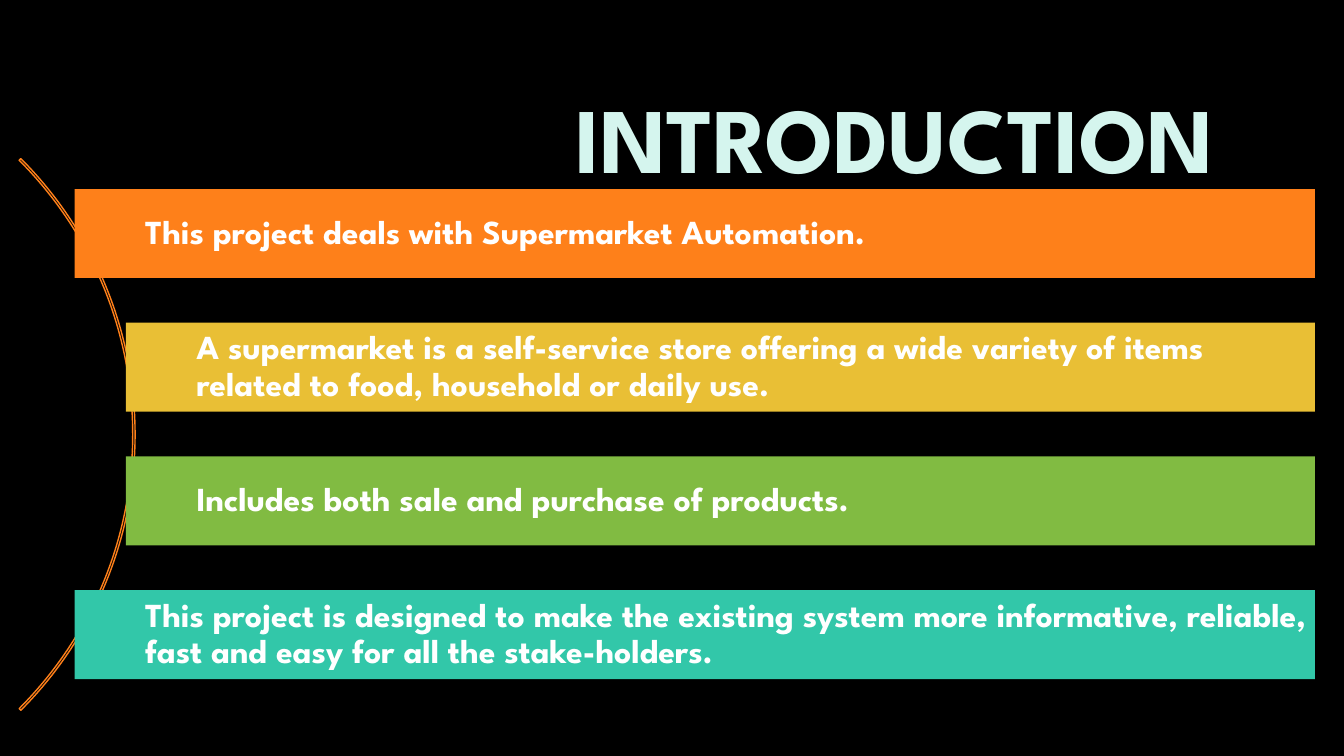
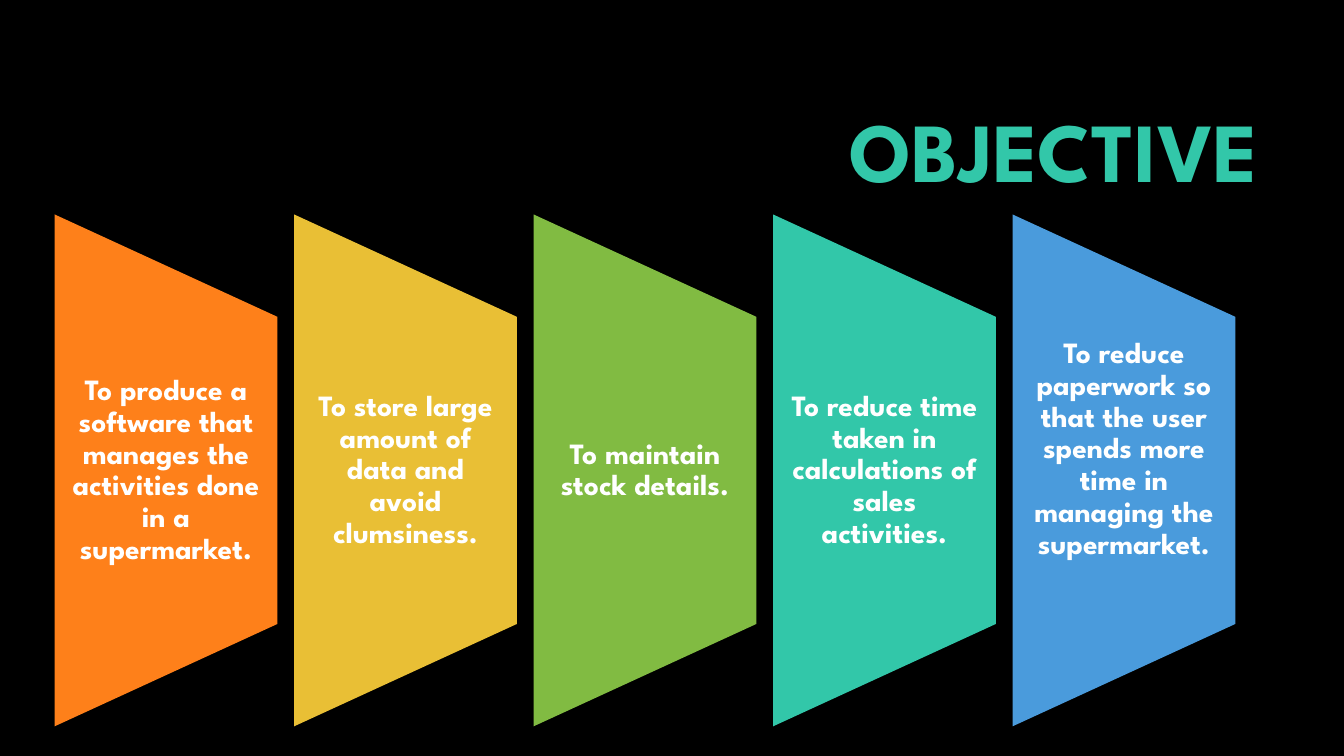
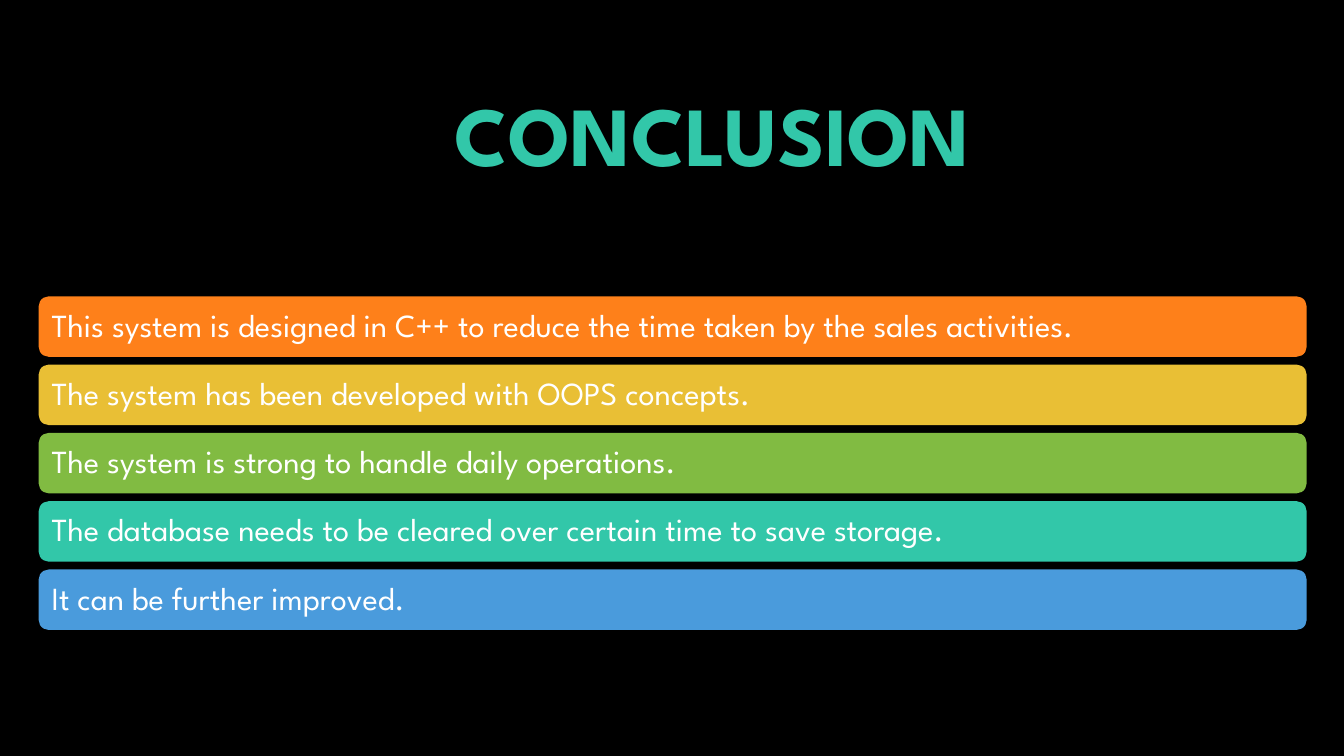
from dataclasses import dataclass
from typing import Any

from pptx import Presentation
from pptx import util as u
from pptx.dml.color import RGBColor
from pptx.enum import shapes, text

COLUMNS, ROWS = 160, 90
SLIDE_WIDTH, SLIDE_HEIGHT = u.Inches(13.33), u.Inches(7.5)
Shape = shapes.MSO_SHAPE


@dataclass(frozen=True)
class Theme:
    font: str = "League Spartan"
    background: str = "000000"
    white: str = "FFFFFF"
    mint: str = "D5F5EE"
    teal: str = "32C7A9"
    accents: tuple[str, ...] = ("FE801A", "E9BF35", "81BB42", "32C7A9", "4A9BDC")
    large_title: int = 66
    title: int = 60
    bar: int = 24
    panel: int = 21
    pill: int = 23
    line_spacing: float = 0.9


@dataclass(frozen=True)
class Cell:
    column: float
    row: float
    width: float
    height: float

    def frame(self) -> dict[str, int]:
        return {
            "left": across(self.column),
            "top": down(self.row),
            "width": across(self.width),
            "height": down(self.height),
        }


@dataclass(frozen=True)
class TextStyle:
    size: int
    color: str
    bold: bool = True
    align: Any = text.PP_ALIGN.LEFT
    insets: tuple[float, float, float, float] = (1.2, 0.6, 1.2, 0.6)


@dataclass(frozen=True)
class Bar:
    wording: str
    column: float


@dataclass(frozen=True)
class Panel:
    wording: str
    bottom_inset: float = 0


THEME = Theme()
OUTER_COLUMN, INNER_COLUMN, BARS_END = 8.88, 15, 156.55

BARS = (
    Bar("This project deals with Supermarket Automation.", OUTER_COLUMN),
    Bar("A supermarket is a self-service store offering a wide variety of items "
        "related to food, household or daily use.", INNER_COLUMN),
    Bar("Includes both sale and purchase of products.", INNER_COLUMN),
    Bar("This project is designed to make the existing system more informative, "
        "reliable, fast and easy for all the stake-holders.", OUTER_COLUMN),
)
PANELS = (
    Panel("To produce a software that manages the activities done in a supermarket."),
    Panel("To store large amount of data and avoid clumsiness."),
    Panel("To maintain stock details."),
    Panel("To reduce time taken in calculations of sales activities."),
    Panel("To reduce paperwork so that the user spends more time in managing "
          "the supermarket.", 5),
)
PILLS = (
    "This system is designed in C++ to reduce the time taken by the sales activities.",
    "The system has been developed with OOPS concepts.",
    "The system is strong to handle daily operations.",
    "The database needs to be cleared over certain time to save storage.",
    "It can be further improved.",
)


def across(columns: float) -> int:
    return round(SLIDE_WIDTH * columns / COLUMNS)


def down(rows: float) -> int:
    return round(SLIDE_HEIGHT * rows / ROWS)


def apply(target: Any, values: dict[str, Any]) -> None:
    for name, value in values.items():
        setattr(target, name, value)


def write(box: Any, wording: str, style: TextStyle) -> None:
    left, top, right, bottom = style.insets
    apply(box.text_frame, {
        "word_wrap": True,
        "auto_size": text.MSO_AUTO_SIZE.NONE,
        "vertical_anchor": text.MSO_ANCHOR.MIDDLE,
        "margin_left": across(left),
        "margin_top": down(top),
        "margin_right": across(right),
        "margin_bottom": down(bottom),
    })
    para = box.text_frame.paragraphs[0]
    apply(para, {"alignment": style.align, "line_spacing": THEME.line_spacing})
    span = para.add_run()
    span.text = wording
    apply(span.font, {"name": THEME.font, "size": u.Pt(style.size), "bold": style.bold})
    span.font.color.rgb = RGBColor.from_string(style.color)


def add_block(page: Any, kind: Any, cell: Cell, color: str) -> Any:
    block = page.shapes.add_shape(kind, *cell.frame().values())
    block.shadow.inherit = False
    block.fill.solid()
    block.fill.fore_color.rgb = RGBColor.from_string(color)
    block.line.fill.background()
    return block


def add_page(deck: Any, title: str, column: float, row: float, size: int, color: str) -> Any:
    page = deck.slides.add_slide(deck.slide_layouts.get_by_name("Title Only"))
    box = page.shapes.title
    apply(box, Cell(column, row, 113.04, 16.92).frame())
    write(box, title, TextStyle(size, color, align=text.PP_ALIGN.RIGHT))
    return page


def add_arc(page: Any) -> None:
    arc = page.shapes.add_shape(Shape.BLOCK_ARC, *Cell(-76.8, 5.28, 92.88, 92.88).frame().values())
    arc.shadow.inherit = False
    for index, value in enumerate((189, 27, 0.003)):
        arc.adjustments[index] = value
    arc.fill.background()
    arc.line.color.rgb = RGBColor.from_string(THEME.accents[0])
    arc.line.width = u.Pt(1)


def add_introduction(deck: Any) -> None:
    page = add_page(deck, "INTRODUCTION", 32.76, 8.64, THEME.large_title, THEME.mint)
    add_arc(page)
    style = TextStyle(THEME.bar, THEME.white, insets=(8.4, 0.8, 0.8, 0.8))
    for index, (bar, color) in enumerate(zip(BARS, THEME.accents)):
        cell = Cell(bar.column, 22.5 + index * 15.92, BARS_END - bar.column, 10.58)
        write(add_block(page, Shape.RECTANGLE, cell, color), bar.wording, style)


def add_objective(deck: Any) -> None:
    page = add_page(deck, "OBJECTIVE", 38.04, 10.08, THEME.title, THEME.teal)
    width, length, middle, pitch = 26.52, 60.96, 56, 28.51
    for index, (panel, color) in enumerate(zip(PANELS, THEME.accents)):
        column = 6.5 + index * pitch
        cell = Cell(column + (width - length) / 2, middle - width / 2, length, width)
        add_block(page, Shape.FLOWCHART_MANUAL_OPERATION, cell, color).rotation = 270
        label = Cell(column, middle - 18.3, width, 36.6)
        box = page.shapes.add_textbox(*label.frame().values())
        write(box, panel.wording, TextStyle(
            THEME.panel, THEME.white, align=text.PP_ALIGN.CENTER,
            insets=(1.8, 0, 1.8, panel.bottom_inset)))


def add_conclusion(deck: Any) -> None:
    page = add_page(deck, "CONCLUSION", 3.72, 8.16, THEME.title, THEME.teal)
    style = TextStyle(THEME.pill, THEME.white, bold=False, insets=(1.2, 1.2, 1.2, 1.2))
    for index, (wording, color) in enumerate(zip(PILLS, THEME.accents)):
        cell = Cell(4.6, 35.28 + index * 8.13, 150.96, 7.2)
        write(add_block(page, Shape.ROUNDED_RECTANGLE, cell, color), wording, style)


def main() -> None:
    deck = Presentation()
    apply(deck, {"slide_width": SLIDE_WIDTH, "slide_height": SLIDE_HEIGHT})
    backdrop = deck.slide_master.background.fill
    backdrop.solid()
    backdrop.fore_color.rgb = RGBColor.from_string(THEME.background)
    for add_content in (add_introduction, add_objective, add_conclusion):
        add_content(deck)
    deck.save("out.pptx")


if __name__ == "__main__":
    main()
